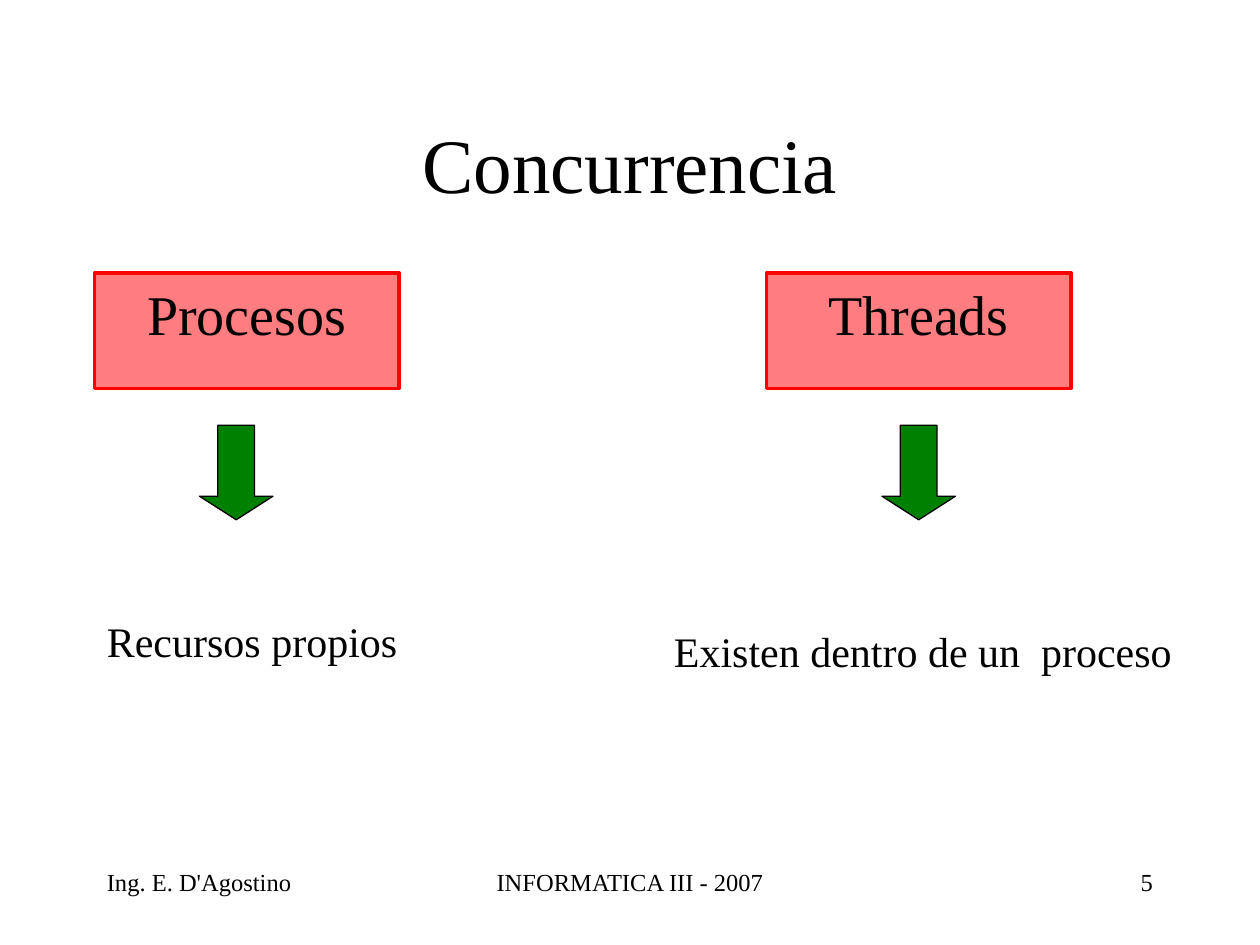
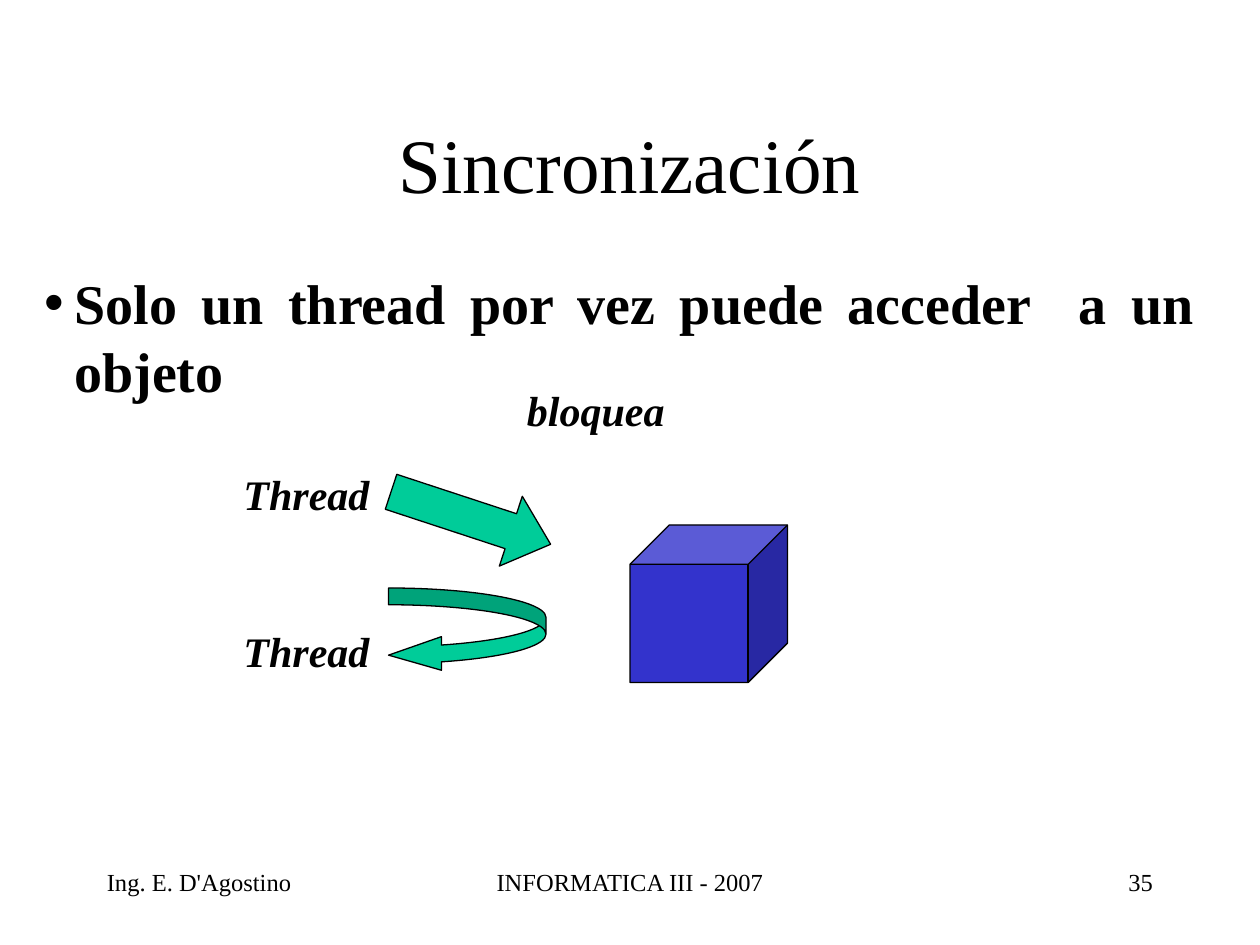
from lxml.etree import SubElement
from pptx import Presentation
from pptx.dml.color import RGBColor
from pptx.enum.shapes import MSO_SHAPE as Shape
from pptx.enum.text import MSO_ANCHOR as Anchor, MSO_AUTO_SIZE as AutoSize, PP_ALIGN as Align
from pptx.oxml.ns import qn
from pptx.util import Inches, Pt

COLORS = {
    "text": "000000",
    "outline": "000000",
    "box": "FF7C80",
    "box_line": "FF0000",
    "down_arrow": "008000",
    "thread_arrow": "00CC99",
    "object": "3333CC",
}
FONT = "Times New Roman"
COLUMNS, ROWS = 120, 90
TITLE_AND_CONTENT = 1


class Deck:
    """Holds the style and the current slide; areas are (column, row, columns, rows)."""

    def __init__(self):
        self.presentation = Presentation()
        self.presentation.slide_width = Inches(10)
        self.presentation.slide_height = Inches(7.5)
        self.slide = None

    def place(self, area):
        column = self.presentation.slide_width / COLUMNS
        row = self.presentation.slide_height / ROWS
        return [round(length * unit) for length, unit in zip(area, (column, row) * 2)]

    def move(self, shape, area):
        shape.left, shape.top, shape.width, shape.height = self.place(area)

    def set_text(self, shape, text, size, align=Align.LEFT, anchor=Anchor.TOP, bold=False, italic=False):
        frame = shape.text_frame
        frame.text = text
        frame.word_wrap = True
        frame.auto_size = AutoSize.NONE
        frame.vertical_anchor = anchor
        paragraph = frame.paragraphs[0]
        paragraph.alignment = align
        font = paragraph.runs[0].font
        font.name, font.size, font.bold, font.italic = FONT, Pt(size), bold, italic
        font.color.rgb = RGBColor.from_string(COLORS["text"])
        return paragraph

    def set_bullet(self, paragraph, character=None, indent=0.0):
        """Give a hanging bullet, or take the template's bullet away."""
        properties = paragraph._p.get_or_add_pPr()
        properties.set("marL", str(Inches(indent)))
        properties.set("indent", str(-Inches(indent)))
        if character:
            SubElement(properties, qn("a:buChar"), char=character)
        else:
            SubElement(properties, qn("a:buNone"))

    def paint(self, shape, fill, line="outline", width=0.75):
        shape.fill.solid()
        shape.fill.fore_color.rgb = RGBColor.from_string(COLORS[fill])
        shape.line.color.rgb = RGBColor.from_string(COLORS[line])
        shape.line.width = Pt(width)

    def add_slide(self, title, number):
        layout = self.presentation.slide_layouts[TITLE_AND_CONTENT]
        self.slide = self.presentation.slides.add_slide(layout)
        self.move(self.slide.shapes.title, (9, 8, 102, 15))
        self.set_text(self.slide.shapes.title, title, 44, Align.CENTER, Anchor.MIDDLE)
        self.add_text("Ing. E. D'Agostino", (9, 82, 25, 6), 14)
        self.add_text("INFORMATICA III - 2007", (41, 82, 38, 6), 14, align=Align.CENTER)
        self.add_text(str(number), (86, 82, 25, 6), 14, align=Align.RIGHT)

    def add_text(self, text, area, size=24, **style):
        self.set_text(self.slide.shapes.add_textbox(*self.place(area)), text, size, **style)

    def add_shape(self, kind, area, fill, adjustments=(), rotation=0):
        shape = self.slide.shapes.add_shape(kind, *self.place(area))
        shape.shadow.inherit = False
        shape.rotation = rotation
        for index, value in enumerate(adjustments):
            shape.adjustments[index] = value
        self.paint(shape, fill)
        return shape

    def fill_box(self, shape, text):
        paragraph = self.set_text(shape, text, 32, Align.CENTER)
        paragraph.space_before = Pt(8)
        self.set_bullet(paragraph)
        self.paint(shape, "box", "box_line", 2)

    def add_body(self, area):
        body = self.slide.placeholders[1]
        self.move(body, area)
        return body

    def add_bullet(self, text, area):
        paragraph = self.set_text(self.add_body(area), text, 32, Align.JUSTIFY, bold=True)
        paragraph.space_before = Pt(20)
        self.set_bullet(paragraph, "•", 0.24)


def build_concurrency(deck):
    deck.add_slide("Concurrencia", 5)
    deck.fill_box(deck.add_body((9, 26, 29, 11)), "Procesos")
    deck.fill_box(deck.add_shape(Shape.RECTANGLE, (73, 26, 29, 11), "box"), "Threads")
    for arrow_column in (19, 84):
        deck.add_shape(Shape.DOWN_ARROW, (arrow_column, 40.5, 7, 9), "down_arrow", (0.5, 0.32))
    deck.add_text("Recursos propios", (9, 58, 34, 6))
    deck.add_text("Existen dentro de un  proceso", (63, 59, 51, 6))


def build_synchronization(deck):
    deck.add_slide("Sincronización", 35)
    deck.add_bullet("Solo un thread por vez puede acceder  a un objeto", (3, 25, 112, 14))
    deck.add_shape(Shape.CUBE, (60, 50, 15, 15), "object", (0.25,))
    deck.add_shape(Shape.RIGHT_ARROW, (36.84, 45.84, 16, 7), "thread_arrow", (0.5, 0.57), 18.2)
    deck.add_shape(Shape.CURVED_LEFT_ARROW, (37, 56, 15, 8), "thread_arrow", (0.2, 0.4, 0.63))
    labels = [("Thread", 22, 44, 15), ("bloquea", 49, 36, 26), ("Thread", 22, 59, 15)]
    for label, column, row, width in labels:
        deck.add_text(label, (column, row, width, 6), bold=True, italic=True)


def main():
    deck = Deck()
    build_concurrency(deck)
    build_synchronization(deck)
    deck.presentation.save("out.pptx")


if __name__ == "__main__":
    main()
